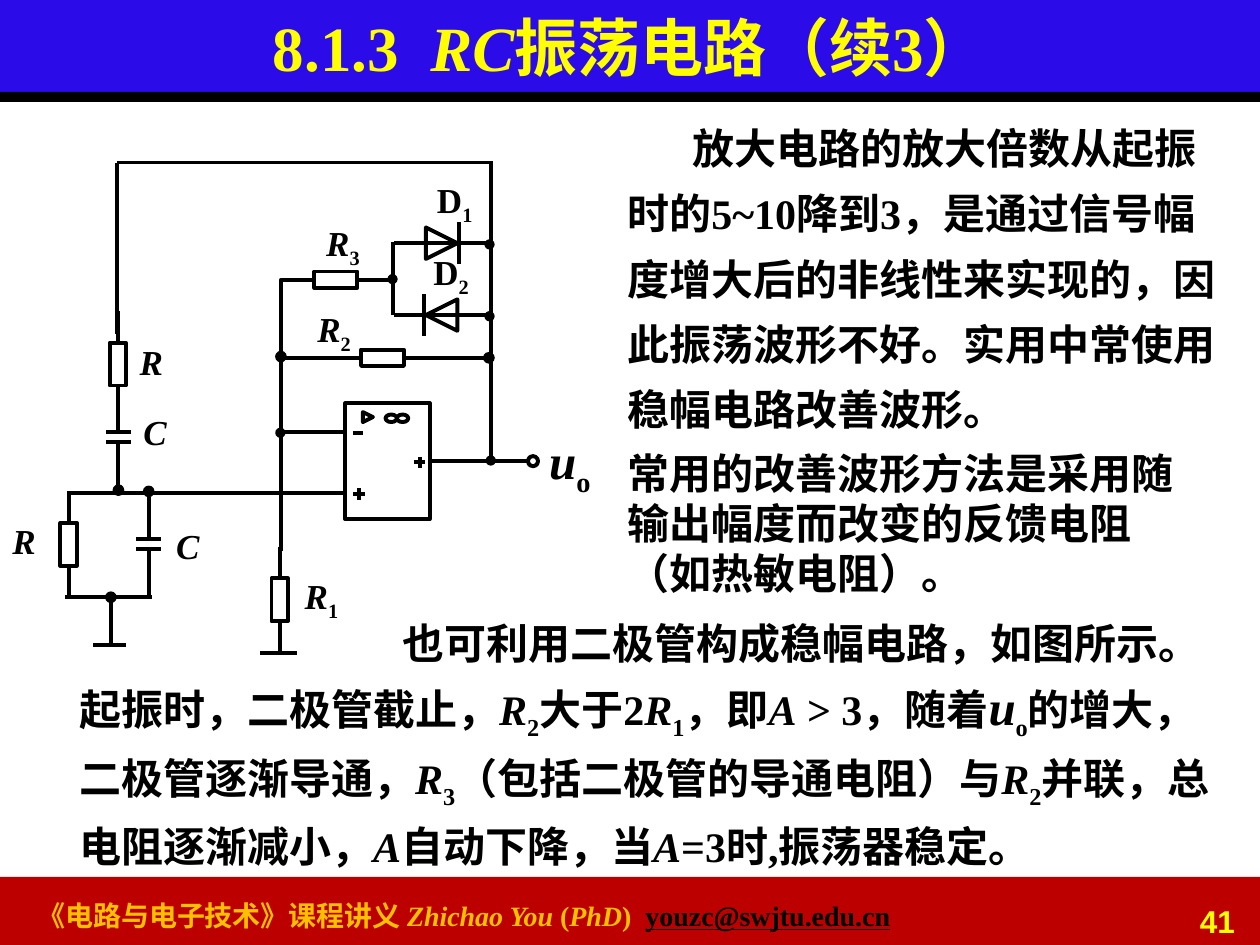
import pptx
import pptx.dml.color
import pptx.enum.shapes
import pptx.enum.text
import pptx.oxml
import pptx.oxml.ns
import pptx.util

RGB = pptx.dml.color.RGBColor
SHAPE = pptx.enum.shapes.MSO_SHAPE
ALIGN = pptx.enum.text.PP_ALIGN
ANCHOR = pptx.enum.text.MSO_ANCHOR

BLACK = RGB(0, 0, 0)
BLUE = RGB(0x2B, 0x0C, 0xE8)
RED = RGB(0xBC, 0, 0)
YELLOW = RGB(0xFF, 0xFF, 0)
AMBER = RGB(0xFF, 0xC0, 0)

COLS, ROWS = 100, 75
CELL = pptx.util.Inches(0.1)
STROKE = pptx.util.Pt(2.25)
ITALIC = {"italic": True}
SUB = {"sub": True}


class Region:
    """Draws on a slide in grid cells counted from the corner of a box."""

    def __init__(self, s, box):
        self.s = s
        self.left, self.top, self.width, self.height = box

    def point(self, x, y):
        return round((self.left + x) * CELL), round((self.top + y) * CELL)

    def frame(self, x, y, w, h):
        return *self.point(x, y), round(w * CELL), round(h * CELL)

    def shape(self, kind, x, y, w, h, fill=None, line=BLACK, rotation=0):
        sp = self.s.shapes.add_shape(kind, *self.frame(x, y, w, h))
        sp.rotation = rotation
        paint(sp, fill, line)

    def wire(self, x1, y1, x2, y2, dot=False):
        c = self.s.shapes.add_connector(
            pptx.enum.shapes.MSO_CONNECTOR.STRAIGHT, *self.point(x1, y1), *self.point(x2, y2))
        c.line.color.rgb, c.line.width = BLACK, STROKE
        if dot:
            end_dot(c)
        c._element.spPr.append(pptx.oxml.parse_xml(
            f'<a:effectLst {pptx.oxml.ns.nsdecls("a")}/>'))

    def bend(self, points, dot=False):
        start, *rest = [self.point(*pt) for pt in points]
        builder = self.s.shapes.build_freeform(*start)
        builder.add_line_segments(rest, close=False)
        sp = builder.convert_to_shape()
        paint(sp, None, BLACK)
        if dot:
            end_dot(sp)

    def text(self, runs, x=0, y=0, w=None, h=None, align=ALIGN.LEFT,
             anchor=ANCHOR.TOP, spacing=None, indent=0, **base):
        tb = self.s.shapes.add_textbox(
            *self.frame(x, y, w or self.width, h or self.height))
        tf = tb.text_frame
        tf.word_wrap, tf.vertical_anchor = True, anchor
        p = tf.paragraphs[0]
        p.alignment = align
        if spacing:
            p.line_spacing = spacing
        if indent:
            p._p.get_or_add_pPr().set("indent", str(round(indent * CELL)))
        for words, own in runs:
            r = p.add_run()
            r.text = words
            look = {"name": "Times New Roman", "bold": True, "size": 24,
                    "color": BLACK, **base, **own}
            if look.pop("sub", False):
                r._r.get_or_add_rPr().set("baseline", "-25000")
            r.font.color.rgb = look.pop("color")
            r.font.size = pptx.util.Pt(look.pop("size"))
            for key, value in look.items():
                setattr(r.font, key, value)


def paint(sp, fill, line):
    sp.shadow.inherit = False
    if fill is None:
        sp.fill.background()
    else:
        sp.fill.solid()
        sp.fill.fore_color.rgb = fill
    if line is None:
        sp.line.fill.background()
    else:
        sp.line.color.rgb, sp.line.width = line, STROKE


def end_dot(sp):
    sp.line._get_or_add_ln().append(pptx.oxml.parse_xml(
        f'<a:tailEnd {pptx.oxml.ns.nsdecls("a")} type="oval"/>'))


def resistor(g, cx, cy, across=False):
    g.shape(SHAPE.RECTANGLE, cx - 0.65, cy - 1.7, 1.3, 3.4, rotation=90 if across else 0)
    for near, far in ((-1.7, -4.2), (1.7, 4.2)):
        if across:
            g.wire(cx + far, cy, cx + near, cy)
        else:
            g.wire(cx, cy + far, cx, cy + near)


def capacitor(g, cx, cy):
    for plate, lead in ((-0.4, -2.1), (0.4, 2.1)):
        g.wire(cx - 1, cy + plate, cx + 1, cy + plate)
        g.wire(cx, cy + lead, cx, cy + plate)


def diode(g, cx, cy, direction):
    """Direction is 1 when the cathode is on the right, -1 when on the left."""
    g.shape(SHAPE.ISOSCELES_TRIANGLE, cx - 1.25, cy - 1.25, 2.5, 2.5, rotation=90 * direction)
    bar = cx + 1.4 * direction
    g.wire(bar, cy - 1.65, bar, cy + 1.65)
    g.wire(31.3, cy, 38.9, cy)
    junction(g, 38.85, cy + 0.1)


def junction(g, cx, cy):
    g.shape(SHAPE.OVAL, cx - 0.25, cy - 0.25, 0.5, 0.5, fill=BLACK)


def op_amp(g, x, y):
    g.shape(SHAPE.RECTANGLE, x, y, 6.7, 9.2)
    g.shape(SHAPE.ISOSCELES_TRIANGLE, x + 1.4, y + 0.7, 0.8, 0.8, rotation=90)
    for dx in (3.2, 4.1):
        g.shape(SHAPE.OVAL, x + dx, y + 0.9, 0.9, 0.6)
    g.wire(x + 0.6, y + 2.4, x + 1.4, y + 2.4)
    for cx, cy in ((x + 1.1, y + 7.2), (x + 5.9, y + 4.7)):
        g.wire(cx - 0.45, cy, cx + 0.45, cy)
        g.wire(cx, cy - 0.45, cx, cy + 0.45)


def circuit(s, box):
    g = Region(s, box)
    op_amp(g, 27.4, 22)
    for x, y in ((9.35, 18.9), (5.45, 33.2), (22.2, 37.6)):
        resistor(g, x, y)
    for x, y in ((30.35, 18.4), (26.65, 12.2)):
        resistor(g, x, y, across=True)
    for x, y in ((9.4, 24.7), (11.8, 33.2)):
        capacitor(g, x, y)
    for y, direction in ((9.3, 1), (15, -1)):
        diode(g, 35.05, y, direction)
    for wire in (
            (9.3, 2.9, 39.1, 2.9), (9.3, 2.9, 9.3, 16.5), (39, 2.9, 39, 26.3),
            (34, 26.6, 41.9, 26.6), (22.2, 24.3, 27.5, 24.3), (5.5, 29.1, 27.5, 29.1),
            (5.2, 37.4, 12.1, 37.4), (11.8, 34.7, 11.8, 37.5), (31.2, 9.2, 31.2, 15),
            (7.4, 41.2, 10, 41.2), (20.6, 41.8, 23.6, 41.8)):
        g.wire(*wire)
    for wire in ((9.4, 26.4, 9.4, 28.9), (11.8, 31.8, 11.8, 29),
                 (8.8, 41.2, 8.8, 37.4), (32.2, 18.4, 38.8, 18.4)):
        g.wire(*wire, dot=True)
    g.bend([(22.3, 33.7), (22.3, 18.4), (27.8, 18.4)])
    g.bend([(24.6, 12.2), (22.3, 12.2), (22.3, 18.3)], dot=True)
    for x, y in ((38.95, 26.55), (22.25, 24.35), (31.15, 12.15)):
        junction(g, x, y)
    g.shape(SHAPE.OVAL, 41.9, 26.2, 0.8, 0.8)

    for name, index, x, y, w in (
            ("R", "", 10.1, 16.5, 4.7), ("C", "", 10.4, 22.1, 4.7),
            ("R", "", 0, 30.7, 4.7), ("C", "", 13, 31.1, 4.7),
            ("R", "1", 23.2, 35.1, 7.2), ("R", "2", 24.2, 13.9, 5.3),
            ("R", "3", 24.9, 7.1, 7.2), ("D", "1", 33.7, 3.7, 5),
            ("D", "2", 33.4, 9.4, 5.2)):
        runs = [(name, {"italic": name != "D"})]
        if index:
            runs.append((index, SUB))
        g.text(runs, x, y, w, 4.3, size=20)
    g.text([("u", ITALIC), ("o", SUB)], 42.6, 23.7, 7, 5.7, size=28)


def header(s, box):
    g = Region(s, box)
    g.shape(SHAPE.RECTANGLE, -0.2, 0, g.width + 0.4, 7.6, fill=BLUE, line=None)
    g.shape(SHAPE.RECTANGLE, -0.1, 7.3, g.width + 0.2, 0.8, fill=BLACK, line=None)
    g.text([("8.1.3  ", {}), ("RC", ITALIC), ("振荡电路（续3）", {})], h=7.3,
           align=ALIGN.CENTER, anchor=ANCHOR.MIDDLE, size=36, color=YELLOW)


def footer(s, box):
    g = Region(s, box)
    g.shape(SHAPE.RECTANGLE, -0.2, 0, g.width + 0.4, g.height, fill=RED, line=None)
    g.text([("《电路与电子技术》课程讲义 ", {}), ("Zhichao You ", ITALIC), ("(", {}),
            ("PhD", ITALIC), (")  ", {}),
            ("youzc@swjtu.edu.cn", {"color": BLACK, "underline": True})],
           2, 1.2, 88.2, 3.7, size=16, color=AMBER)
    g.text([("41", {})], 89.6, 1.5, 9.4, 3.1, align=ALIGN.RIGHT,
           name="Arial", size=18, color=YELLOW)


def explanation(s, box):
    g = Region(s, box)
    g.text([("放大电路的放大倍数从起振时的5~10降到3，是通过信号幅度增大后的非线性来实现的，"
             "因此振荡波形不好。实用中常使用稳幅电路改善波形。", {})],
           h=27, spacing=1.3, indent=5.2)
    g.text([("常用的改善波形方法是采用随输出幅度而改变的反馈电阻（如热敏电阻）。", {})],
           y=27, w=48.4, h=13)


def diode_note(s, box):
    g = Region(s, box)
    g.text([("也可利用二极管构成稳幅电路，如图所示。", {})], 25.7, 0, 66, 5)
    g.text([("起振时，二极管截止，", {}), ("R", ITALIC), ("2", SUB), ("大于2", {}),
            ("R", ITALIC), ("1", SUB), ("，即", {}), ("A", ITALIC), (" > 3，随着", {}),
            ("u", {"italic": True, "size": 28}), ("o", SUB),
            ("的增大，二极管逐渐导通，", {}), ("R", ITALIC), ("3", SUB),
            ("（包括二极管的导通电阻）与", {}), ("R", ITALIC), ("2", SUB),
            ("并联，总电阻逐渐减小，", {}), ("A", ITALIC), ("自动下降，当", {}),
            ("A", ITALIC), ("=3时,振荡器稳定。", {})], y=3.7, h=16.2, spacing=1.2)


def main():
    prs = pptx.Presentation()
    prs.slide_width, prs.slide_height = COLS * CELL, ROWS * CELL
    s = prs.slides.add_slide(prs.slide_layouts[6])
    footer(s, (0, 69.6, COLS, 5.6))
    header(s, (0, 0, COLS, 8.1))
    circuit(s, (0, 10, 49, 42))
    explanation(s, (48.8, 8, 50.1, 40))
    diode_note(s, (5.3, 48.5, 92, 20))
    prs.save("out.pptx")


if __name__ == "__main__":
    main()
